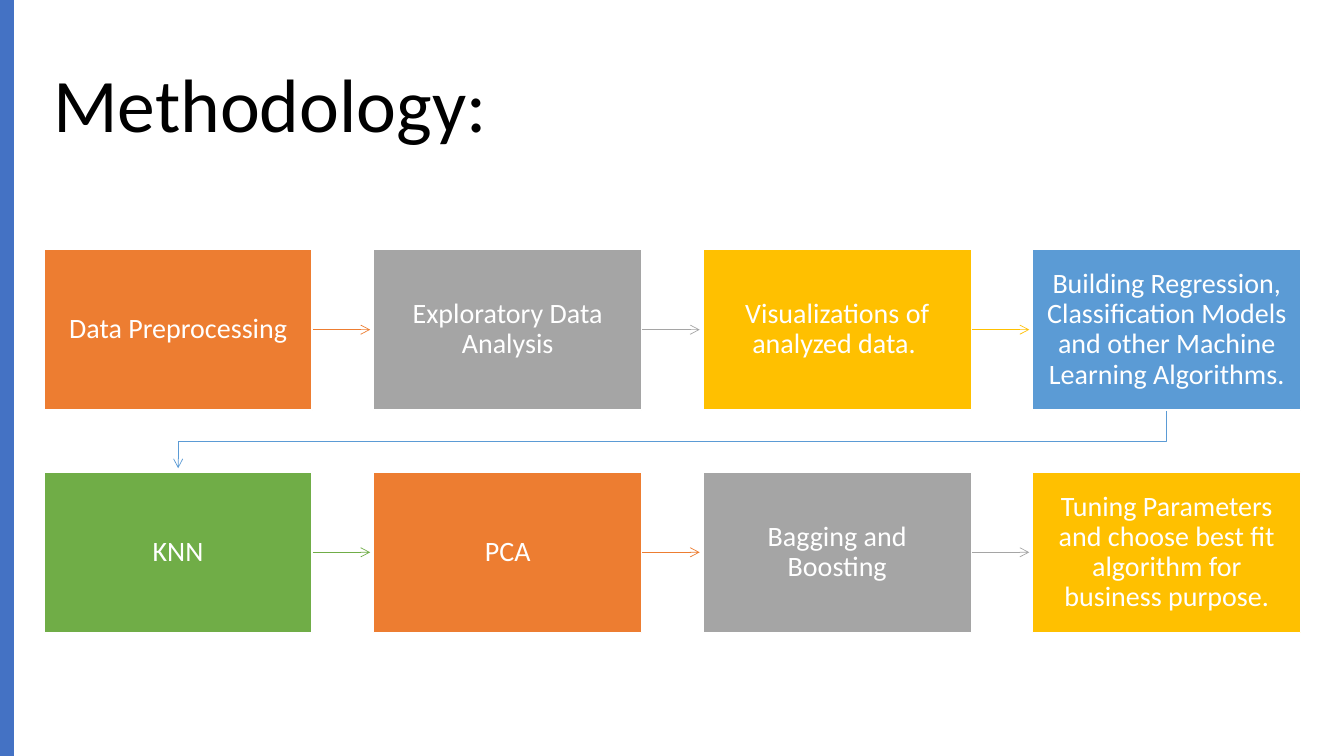
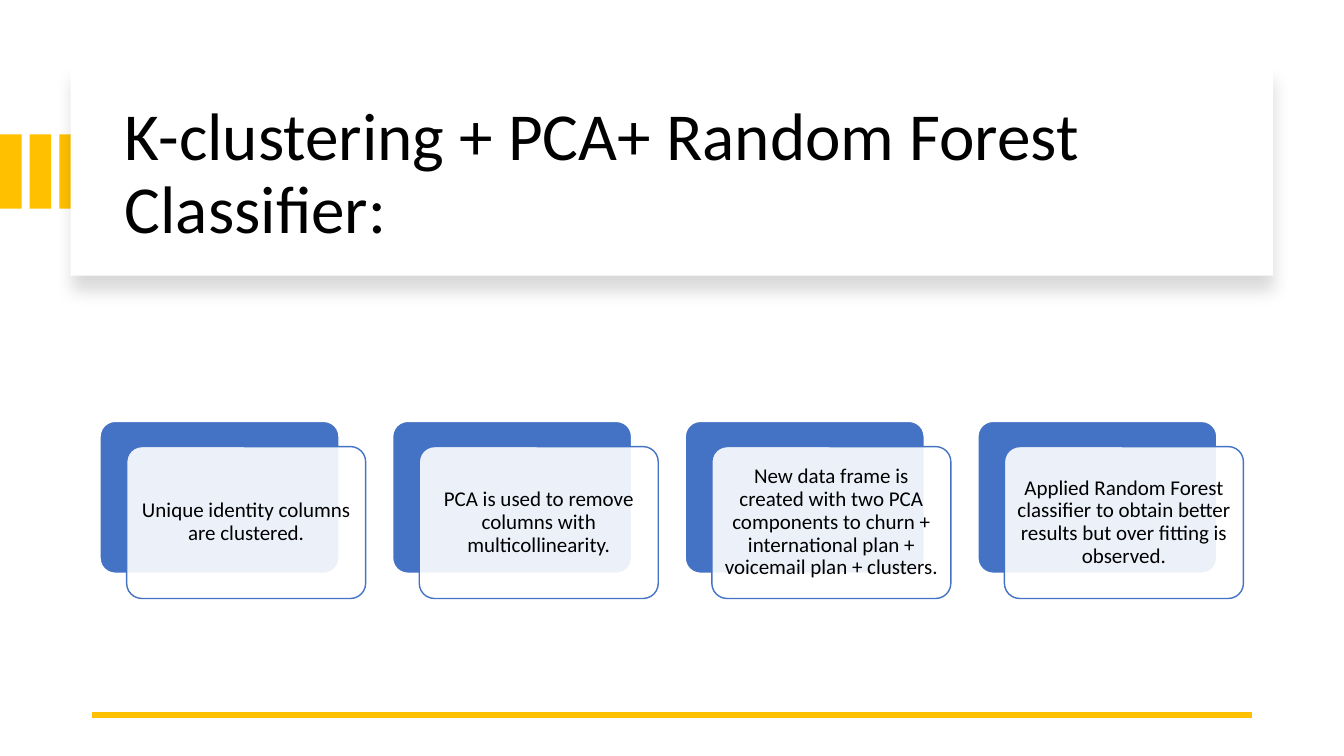
from lxml import etree
from pptx import Presentation
from pptx import util as u
from pptx.dml import color
from pptx.enum import shapes, text
from pptx.oxml import ns

FONT = "Calibri"
BLACK, WHITE = "000000", "FFFFFF"
BLUE, ORANGE, GRAY = "4472C4", "ED7D31", "A5A5A5"
GOLD, SKY, GREEN = "FFC000", "5B9BD5", "70AD47"
RECTANGLE = shapes.MSO_SHAPE.RECTANGLE
ROUNDED = shapes.MSO_SHAPE.ROUNDED_RECTANGLE
STRAIGHT = shapes.MSO_CONNECTOR.STRAIGHT

COLUMNS = 4
STEP_LEFT, STEP_WIDTH, STEP_PITCH = 31.5, 191.5, 235.4
STEP_TOP, STEP_HEIGHT, ROW_PITCH = 178, 115, 159
STEPS = [
    ("Data Preprocessing", ORANGE),
    ("Exploratory Data Analysis", GRAY),
    ("Visualizations of analyzed data. ", GOLD),
    ("Building Regression, Classification Models and other Machine "
     "Learning Algorithms.", SKY),
    ("KNN", GREEN),
    ("PCA", ORANGE),
    ("Bagging and Boosting", GRAY),
    ("Tuning Parameters and choose best fit algorithm for business purpose.",
     GOLD),
]

CARD_LEFT, CARD_TOP, CARD_PITCH = 71.5, 301, 209
CARD_WIDTH, CARD_HEIGHT = 170.7, 108.5
CARD_SHIFT = (19, 18)
CARDS = [
    "Unique identity columns are clustered.",
    "PCA is used to remove columns with multicollinearity.",
    "New data frame is created with two PCA components to churn + "
    "international plan + voicemail plan + clusters.",
    "Applied Random Forest classifier to obtain better results but over "
    "fitting is observed.",
]


def rgb(value):
    return color.RGBColor.from_string(value)


def points(*values):
    return [u.Pt(value) for value in values]


def set_all(target, values):
    for name, value in values.items():
        setattr(target, name, value)


def add_xml(parent, tag, **attributes):
    return etree.SubElement(parent, ns.qn(tag), attributes)


def set_line(shape, line_color, width):
    shape.line.color.rgb = rgb(line_color)
    shape.line.width = u.Pt(width)


def add_arrowhead(shape):
    add_xml(shape.line._get_or_add_ln(), "a:tailEnd", type="arrow")


def write(shape, content, size, text_color, align, insets):
    """Fill a shape with one paragraph; insets are (horizontal, vertical)."""
    frame = shape.text_frame
    across, down = points(*insets)
    set_all(frame, {
        "word_wrap": True,
        "vertical_anchor": text.MSO_ANCHOR.MIDDLE,
        "margin_left": across, "margin_right": across,
        "margin_top": down, "margin_bottom": down,
    })
    paragraph = frame.paragraphs[0]
    set_all(paragraph, {"alignment": align, "line_spacing": 0.9})
    run = paragraph.add_run()
    run.text = content
    set_all(run.font, {"name": FONT, "size": u.Pt(size)})
    run.font.color.rgb = rgb(text_color)


def add_title(slide, content, box, size):
    shape = slide.shapes.add_textbox(*points(*box))
    write(shape, content, size, BLACK, text.PP_ALIGN.LEFT, (7.2, 3.6))


def add_box(slide, box, fill, line=None, kind=RECTANGLE):
    shape = slide.shapes.add_shape(kind, *points(*box))
    shape.shadow.inherit = False
    shape.fill.solid()
    shape.fill.fore_color.rgb = rgb(fill)
    if line:
        set_line(shape, line, 1)
    else:
        shape.line.fill.background()
    if kind == ROUNDED:
        shape.adjustments[0] = 0.1
    return shape


def add_line(slide, start, end, line_color, width):
    connector = slide.shapes.add_connector(STRAIGHT, *points(*start, *end))
    set_line(connector, line_color, width)
    add_xml(connector.element.spPr, "a:effectLst")
    return connector


def add_bent_arrow(slide, corners, line_color):
    start, *others = [tuple(points(*corner)) for corner in corners]
    builder = slide.shapes.build_freeform(*start)
    builder.add_line_segments(others, close=False)
    shape = builder.convert_to_shape()
    shape.shadow.inherit = False
    shape.fill.background()
    set_line(shape, line_color, 0.5)
    add_arrowhead(shape)


def add_soft_shadow(shape):
    effects = shape.element.spPr.find(ns.qn("a:effectLst"))
    shadow = add_xml(effects, "a:outerShdw", blurRad=str(u.Pt(11)),
                     dist=str(u.Pt(10)), dir="5400000", algn="t",
                     rotWithShape="0")
    tint = add_xml(shadow, "a:srgbClr", val=BLACK)
    add_xml(tint, "a:alpha", val="15000")


def set_fill_opacity(shape, percent):
    fill = shape.element.spPr.find(ns.qn("a:solidFill"))
    add_xml(fill[0], "a:alpha", val=str(percent * 1000))


def add_step(slide, index, content, fill):
    """Add a process box and the arrow that leads to the next box."""
    row, column = divmod(index, COLUMNS)
    left = STEP_LEFT + column * STEP_PITCH
    top = STEP_TOP + row * ROW_PITCH
    right, bottom = left + STEP_WIDTH, top + STEP_HEIGHT
    box = add_box(slide, (left, top, STEP_WIDTH, STEP_HEIGHT), fill, WHITE)
    write(box, content, 20, WHITE, text.PP_ALIGN.CENTER, (9.4, 10))
    if index == len(STEPS) - 1:
        return
    if column < COLUMNS - 1:
        middle = top + STEP_HEIGHT / 2
        arrow = add_line(slide, (right + 0.5, middle),
                         (left + STEP_PITCH - 2.5, middle), fill, 0.5)
        add_arrowhead(arrow)
    else:
        center = left + STEP_WIDTH / 2
        first_center = STEP_LEFT + STEP_WIDTH / 2
        lane = (bottom + top + ROW_PITCH) / 2
        add_bent_arrow(slide, [(center, bottom + 0.5), (center, lane),
                               (first_center, lane),
                               (first_center, top + ROW_PITCH - 2.5)], fill)


def add_card(slide, index, content):
    left = CARD_LEFT + index * CARD_PITCH
    size = (CARD_WIDTH, CARD_HEIGHT)
    add_box(slide, (left, CARD_TOP, *size), BLUE, WHITE, ROUNDED)
    front = add_box(slide, (left + CARD_SHIFT[0], CARD_TOP + CARD_SHIFT[1],
                            *size), WHITE, BLUE, ROUNDED)
    set_fill_opacity(front, 90)
    write(front, content, 15, BLACK, text.PP_ALIGN.CENTER, (4.3, 4.3))


def build_methodology(slide):
    add_title(slide, "Methodology:", (31, 25, 899, 104.5), 54)
    add_box(slide, (0, 0, 10, 540), BLUE)
    for index, (content, fill) in enumerate(STEPS):
        add_step(slide, index, content, fill)


def build_clustering(slide):
    for index in range(3):
        add_box(slide, (index * 21.2, 96, 15.4, 53), GOLD)
    panel = add_box(slide, (50.5, 48, 859, 149), WHITE)
    add_soft_shadow(panel)
    add_title(slide, "K-clustering + PCA+ Random Forest Classifier:",
              (82, 64, 801.5, 122.5), 48)
    add_line(slide, (894, 510.5), (66, 510.5), GOLD, 4.5)
    for index, content in enumerate(CARDS):
        add_card(slide, index, content)


def main():
    presentation = Presentation()
    set_all(presentation, {"slide_width": u.Pt(960),
                           "slide_height": u.Pt(540)})
    blank = presentation.slide_layouts[6]
    for build in (build_methodology, build_clustering):
        build(presentation.slides.add_slide(blank))
    presentation.save("out.pptx")


if __name__ == "__main__":
    main()
